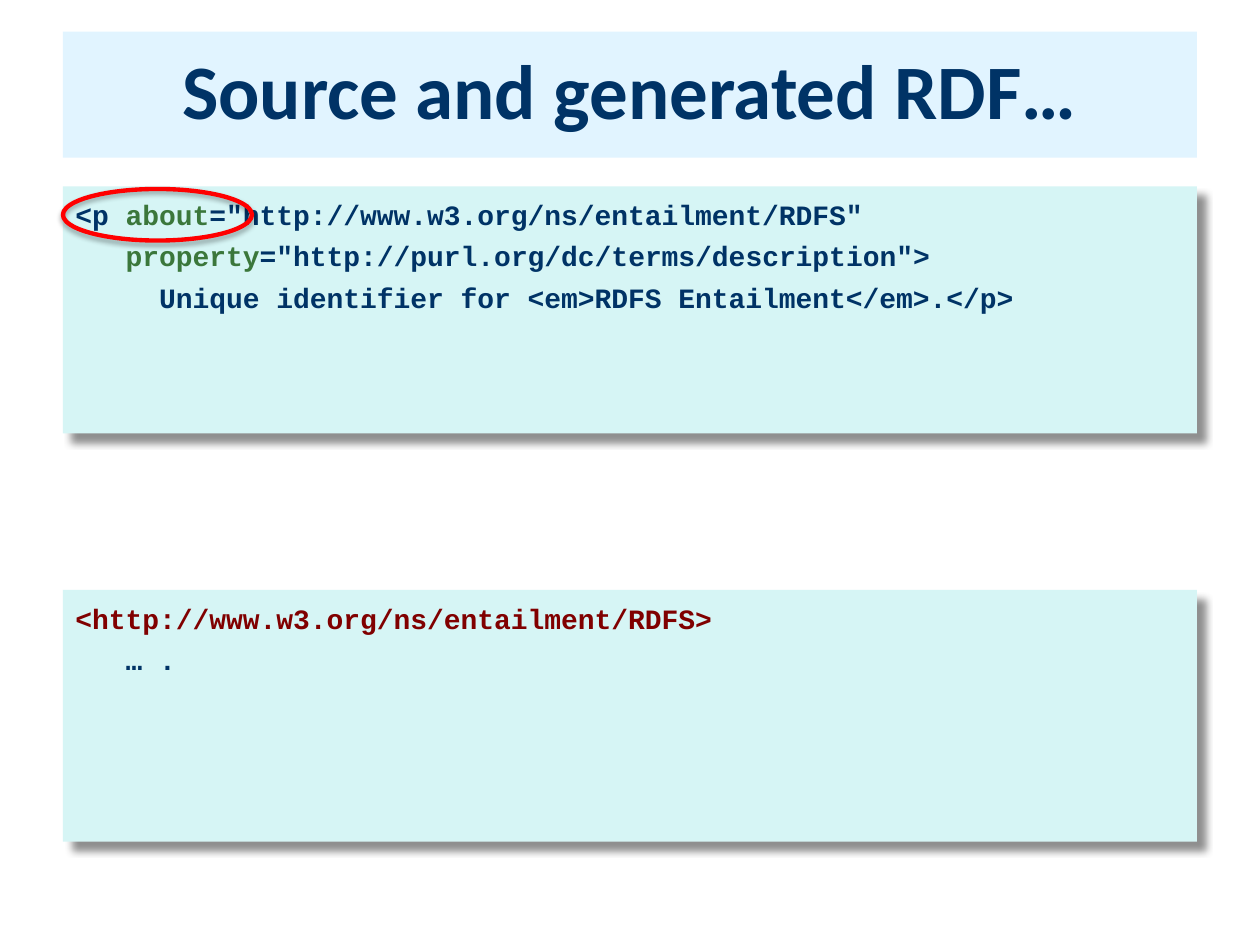
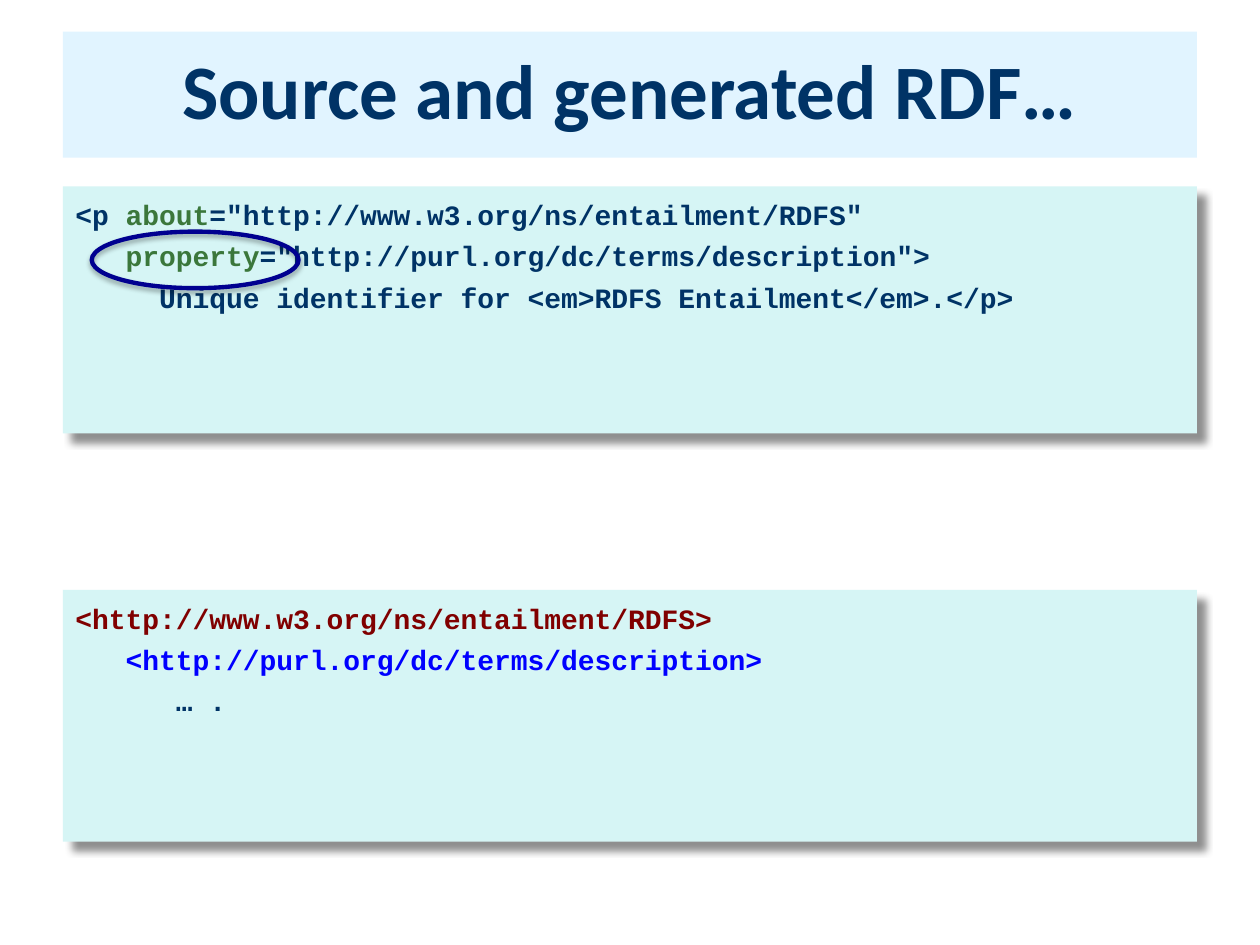
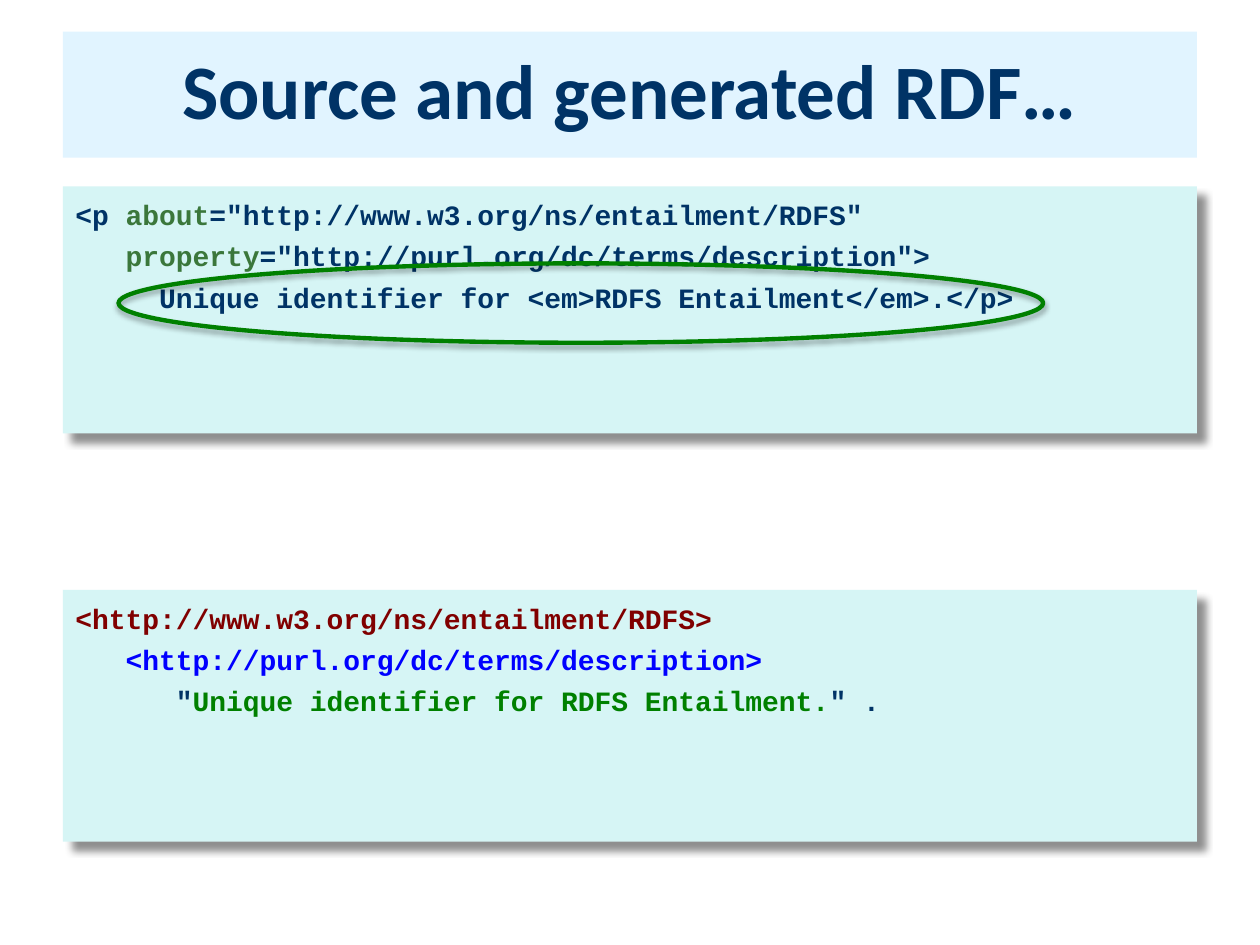
from lxml import etree
from pptx import Presentation
from pptx import util as u
from pptx.dml import color
from pptx.enum import shapes, text
from pptx.oxml import ns

COLORS = {
    "navy": "003366",
    "band": "E1F4FF",
    "panel": "D6F5F5",
    "attribute": "3B773B",
    "subject": "800000",
    "predicate": "0000FF",
    "literal": "008000",
    "red": "FF0000",
    "blue": "000090",
    "black": "000000",
}
TITLE = "Source and generated RDF…"
TITLE_BOX = (1.27, 0.64, 22.86, 2.54)
SOURCE_BOX = (1.27, 3.76, 22.86, 4.98)
RDF_BOX = (1.27, 11.89, 22.86, 5.08)
PANEL_SHADOW = dict(opacity=43, blur=4, dist=7, angle=45)
RING_SHADOW = dict(opacity=35, blur=3.1, dist=1.8, angle=90)

SOURCE = [
    [("<p ", "navy"), ("about", "attribute"),
     ('="http://www.w3.org/ns/entailment/RDFS"', "navy")],
    [("   ", "navy"), ("property", "attribute"),
     ('="http://purl.org/dc/terms/description">', "navy")],
    [("     Unique identifier for <em>RDFS Entailment</em>.</p>", "navy")],
]
SUBJECT = [("<http://www.w3.org/ns/entailment/RDFS>", "subject")]
PREDICATE = [("   ", "navy"),
             ("<http://purl.org/dc/terms/description>", "predicate")]
LITERAL = [('      "', "navy"),
           ("Unique identifier for RDFS Entailment.", "literal"),
           ('" .', "navy")]
STEPS = [
    ([SUBJECT, [("   … .", "navy")]], (0, 0.05, 3.81, 1.04), "red"),
    ([SUBJECT, PREDICATE, [("      … .", "navy")]],
     (0.58, 0.91, 4.17, 1.14), "blue"),
    ([SUBJECT, PREDICATE, LITERAL], (1.12, 1.55, 18.64, 1.6), "literal"),
]


def rgb(name):
    return color.RGBColor.from_string(COLORS[name])


def add_shape(s, kind, box, fill=None):
    sp = s.shapes.add_shape(kind, *(u.Cm(v) for v in box))
    sp.shadow.inherit = False
    if fill:
        sp.fill.solid()
        sp.fill.fore_color.rgb = rgb(fill)
        sp.line.fill.background()
    else:
        sp.fill.background()
    return sp


def add_shadow(sp, opacity, blur, dist, angle):
    effects = sp.element.spPr.find(ns.qn("a:effectLst"))
    shadow = etree.SubElement(
        effects, ns.qn("a:outerShdw"), blurRad=str(u.Pt(blur)),
        dist=str(u.Pt(dist)), dir=str(angle * 60000),
        algn="tl", rotWithShape="0")
    clr = etree.SubElement(shadow, ns.qn("a:srgbClr"), val=COLORS["black"])
    etree.SubElement(clr, ns.qn("a:alpha"), val=str(opacity * 1000))


def add_run(p, words, name, size, font):
    r = p.add_run()
    r.text = words
    r.font.name = font
    r.font.size = u.Pt(size)
    r.font.bold = True
    r.font.color.rgb = rgb(name)


def title_band(s, box):
    sp = add_shape(s, shapes.MSO_SHAPE.RECTANGLE, box, "band")
    tf = sp.text_frame
    tf.word_wrap = True
    tf.vertical_anchor = text.MSO_ANCHOR.MIDDLE
    p = tf.paragraphs[0]
    p.alignment = text.PP_ALIGN.CENTER
    p.line_spacing = 0.9
    add_run(p, TITLE, "navy", 44, "Calibri")


def code_panel(s, box, lines):
    sp = add_shape(s, shapes.MSO_SHAPE.RECTANGLE, box, "panel")
    add_shadow(sp, **PANEL_SHADOW)
    tf = sp.text_frame
    tf.word_wrap = True
    tf.vertical_anchor = text.MSO_ANCHOR.TOP
    tf.margin_top = u.Cm(0.23)
    for i, line in enumerate(lines):
        p = tf.add_paragraph() if i else tf.paragraphs[0]
        p.alignment = text.PP_ALIGN.LEFT
        if i:
            p.space_before = u.Pt(4.3)
        for words, name in line:
            add_run(p, words, name, 16, "Courier New")


def highlight_ring(s, box, offset, name):
    left, top, width, height = offset
    sp = add_shape(s, shapes.MSO_SHAPE.OVAL,
                   (box[0] + left, box[1] + top, width, height))
    sp.line.color.rgb = rgb(name)
    sp.line.width = u.Pt(2.5)
    add_shadow(sp, **RING_SHADOW)


def rdf_slide(prs, rdf, ring, ring_color):
    s = prs.slides.add_slide(prs.slide_layouts[6])
    title_band(s, TITLE_BOX)
    code_panel(s, SOURCE_BOX, SOURCE)
    code_panel(s, RDF_BOX, rdf)
    highlight_ring(s, SOURCE_BOX, ring, ring_color)


def main():
    prs = Presentation()
    prs.slide_width, prs.slide_height = u.Cm(25.4), u.Cm(19.05)
    for step in STEPS:
        rdf_slide(prs, *step)
    prs.save("out.pptx")


if __name__ == "__main__":
    main()
